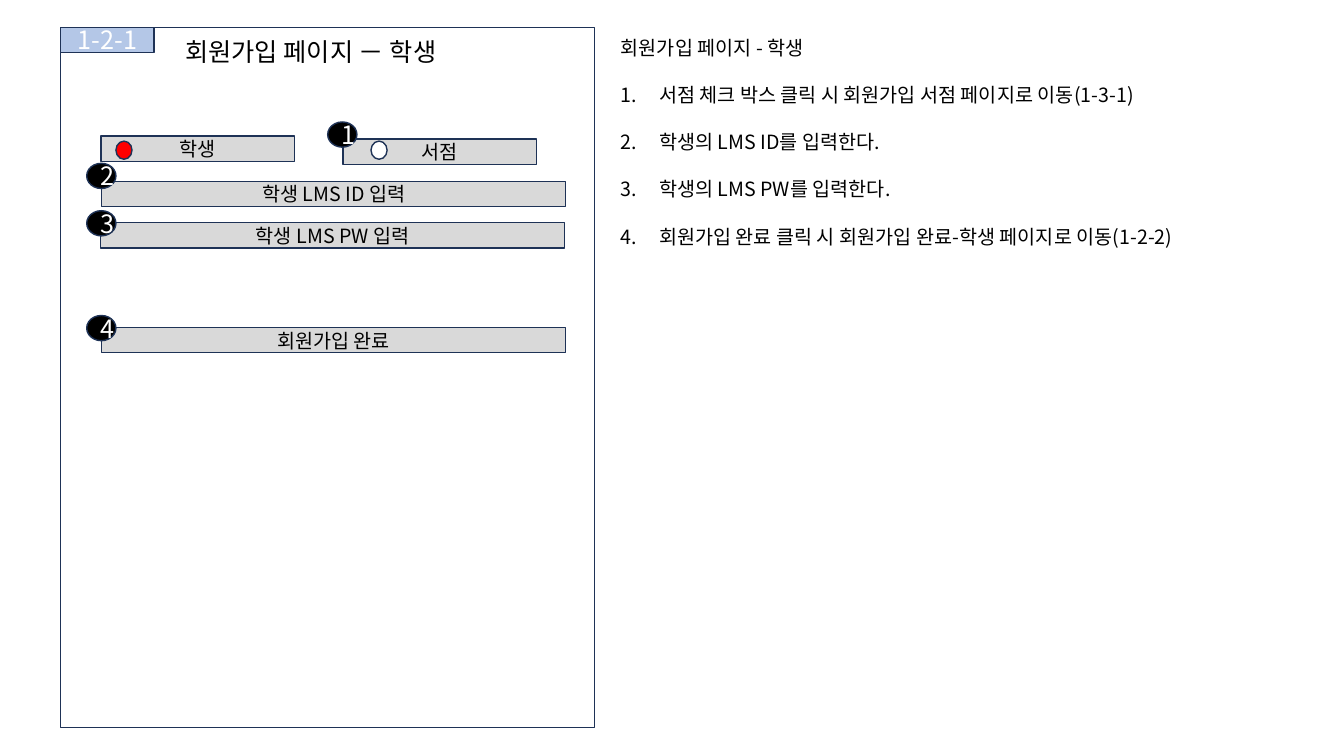
import pptx
import pptx.util
import pptx.dml.color
import pptx.enum.shapes
import pptx.enum.text
import pptx.oxml.ns
import lxml.etree

Inches, Pt = pptx.util.Inches, pptx.util.Pt
RGB = pptx.dml.color.RGBColor.from_string
RECT = pptx.enum.shapes.MSO_SHAPE.RECTANGLE
OVAL = pptx.enum.shapes.MSO_SHAPE.OVAL
FONT = "Noto Sans CJK KR"
COLORS = {"white": "FFFFFF", "black": "000000", "navy": "1E3256",
          "blue": "B4C7E7", "gray": "D9D9D9", "red": "FF0000"}

deck = pptx.Presentation()
deck.slide_width, deck.slide_height = Inches(13.33), Inches(7.5)
slide = deck.slides.add_slide(deck.slide_layouts[6])


def style(para, size, color):
    for run in para.runs:
        run.font.size = Pt(size)
        run.font.name = FONT
        run.font.color.rgb = RGB(COLORS[color])
        east = lxml.etree.SubElement(run.font._element, pptx.oxml.ns.qn("a:ea"))
        east.set("typeface", FONT)


def draw(kind, box, fill, text="", size=14, color="black"):
    shape = slide.shapes.add_shape(kind, *map(Inches, box))
    shape.shadow.inherit = False
    shape.fill.solid()
    shape.fill.fore_color.rgb = RGB(COLORS[fill])
    shape.line.color.rgb = RGB(COLORS["navy"])
    shape.line.width = Pt(1)
    if text:
        frame = shape.text_frame
        frame.text = text
        frame.vertical_anchor = pptx.enum.text.MSO_ANCHOR.MIDDLE
        frame.paragraphs[0].alignment = pptx.enum.text.PP_ALIGN.CENTER
        style(frame.paragraphs[0], size, color)


# Page frame and number
draw(RECT, (0.6, 0.27, 5.3, 6.95), "white")
draw(RECT, (0.6, 0.27, 0.93, 0.25), "blue", "1-2-1", 18, "white")

# Page title and notes
title = ["회원가입 페이지 － 학생"]
notes = ["회원가입 페이지 - 학생",
         "서점 체크 박스 클릭 시 회원가입 서점 페이지로 이동(1-3-1)",
         "학생의 LMS ID를 입력한다.",
         "학생의 LMS PW를 입력한다.",
         "회원가입 완료 클릭 시 회원가입 완료-학생 페이지로 이동(1-2-2)"]
for box, size, lines in [((1.74, 0.31, 3.85, 0.4), 18, title),
                         ((6.06, 0.31, 6.66, 2.22), 14, notes)]:
    frame = slide.shapes.add_textbox(*map(Inches, box)).text_frame
    frame.word_wrap = True
    frame.text = "\n".join(lines)
    for index, para in enumerate(frame.paragraphs):
        style(para, size, "black")
        para.line_spacing = Pt(size * 1.2)
        if index:
            para.space_before = Pt(size * 1.2)
            props = para._p.get_or_add_pPr()
            props.set("marL", str(Inches(0.38)))
            props.set("indent", str(Inches(-0.38)))
            number = lxml.etree.SubElement(props, pptx.oxml.ns.qn("a:buAutoNum"))
            number.set("type", "arabicPeriod")

# Form fields and buttons
for left, top, width, text in [(1.01, 1.8, 4.6, "학생 LMS ID 입력"),
                               (1, 2.21, 4.6, "학생 LMS PW 입력"),
                               (1.01, 3.25, 4.6, "회원가입 완료"),
                               (3.4, 1.38, 1.92, "서점"),
                               (1, 1.35, 1.92, "학생")]:
    draw(RECT, (left, top, width, 0.25), "gray", text)

# Radio marks
for left, fill in [(1.15, "red"), (3.68, "white")]:
    draw(OVAL, (left, 1.4, 0.16, 0.18), fill)

# Numbered badges
badges = [(3.25, 1.21), (0.86, 1.62), (0.86, 2.09), (0.86, 3.13)]
for count, (left, top) in enumerate(badges, 1):
    draw(OVAL, (left, top, 0.29, 0.25), "black", str(count), 18, "white")

deck.save("out.pptx")
